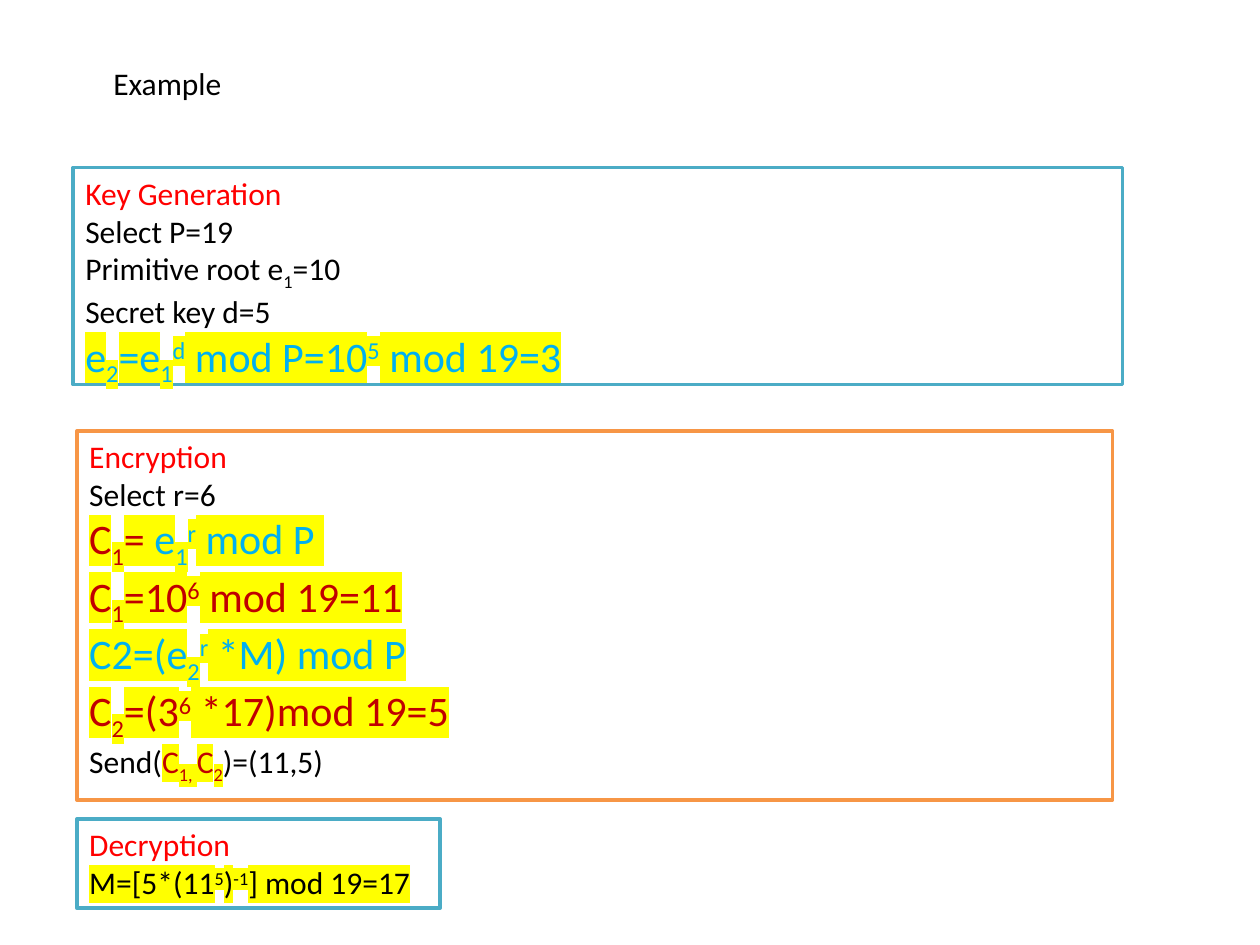
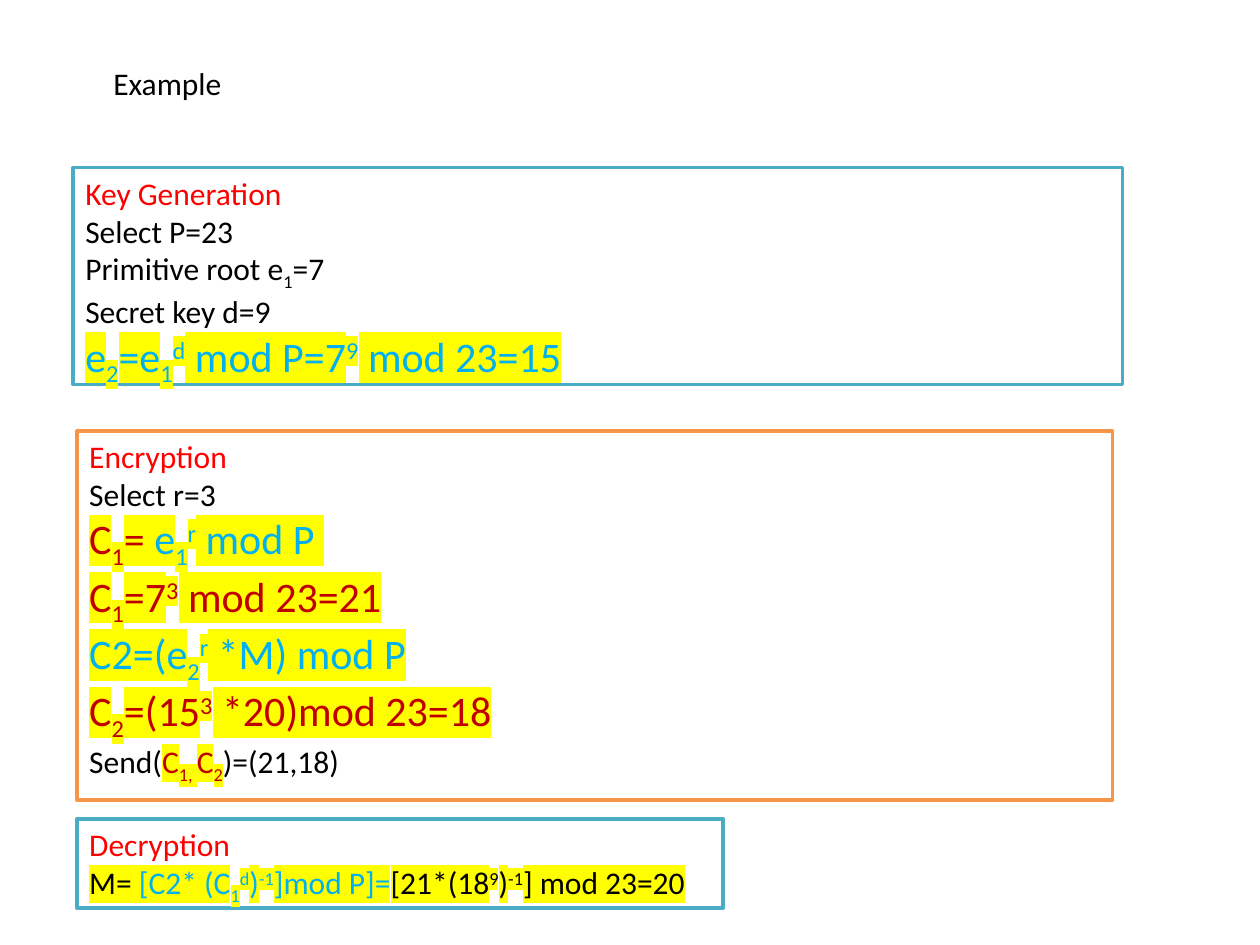
from pptx import Presentation
from pptx.dml.color import RGBColor
from pptx.enum.shapes import MSO_SHAPE as Preset
from pptx.enum.text import MSO_ANCHOR as Anchor, MSO_AUTO_SIZE as AutoSize, PP_ALIGN as Align
from pptx.util import Cm, Pt
from lxml.etree import SubElement
from pptx.oxml.ns import qn

COLORS = {
    "white": "FFFFFF", "black": "000000", "heading": "FF0000", "blue": "00B0F0",
    "dark red": "C00000", "marker": "FFFF00", "teal line": "4BACC6", "orange line": "F79646",
}
FONT = "Calibri"

# Text styles: size, colour, highlighted
STYLES = {
    "heading": (18, "heading", False),
    "plain": (18, "black", False),
    "formula": (24, "blue", True),
    "result": (24, "dark red", True),
    "marked": (18, "black", True),
    "marked blue": (18, "blue", True),
    "marked red": (18, "dark red", True),
}
BASELINES = {"_": "-25000", "^": "30000"}

# Boxes: left, top, width, height in cm, outline, wrapping
KEY_BOX = (1.47, 3.38, 21.16, 4.37, "teal line", True)
ENCRYPTION_BOX = (1.55, 8.69, 20.88, 7.44, "orange line", True)

EXAMPLES = [
    {"P": 19, "e1": 10, "d": 5, "e2": 3, "r": 6, "M": 17, "C1": 11, "C2": 5,
     "decryption width": 7.32,
     "decryption": [("marked", "M=[5*(11|^5|)|^-1|] mod 19=17")]},
    {"P": 23, "e1": 7, "d": 9, "e2": 15, "r": 3, "M": 20, "C1": 21, "C2": 18,
     "decryption width": 13.03,
     "decryption": [("marked", "M="), ("marked blue", " [C2* (C|_1|^d|)|^-1|]mod P]="),
                    ("marked", "[21*(18|^9|)|^-1|] mod 23=20")]},
]


def add_formula(paragraph, style, markup):
    """Add runs split at |; a leading _ lowers a run and ^ raises it."""
    size, color, highlighted = STYLES[style]
    for piece in markup.split("|"):
        run = paragraph.add_run()
        run.text = piece.lstrip("_^")
        run.font.size = Pt(size)
        run.font.color.rgb = RGBColor.from_string(COLORS[color])
        properties = run._r.get_or_add_rPr()
        if piece[0] in BASELINES:
            properties.set("baseline", BASELINES[piece[0]])
        if highlighted:
            highlight = SubElement(properties, qn("a:highlight"))
            SubElement(highlight, qn("a:srgbClr")).set("val", COLORS["marker"])
        run.font.name = FONT


def add_step_box(slide, box, heading, lines):
    """Add an outlined box with a heading and one paragraph per line."""
    left, top, width, height, outline, wrap = box
    shape = slide.shapes.add_shape(Preset.RECTANGLE, Cm(left), Cm(top), Cm(width), Cm(height))
    shape.shadow.inherit = False
    shape.fill.solid()
    shape.fill.fore_color.rgb = RGBColor.from_string(COLORS["white"])
    shape.line.color.rgb = RGBColor.from_string(COLORS[outline])
    shape.line.width = Pt(2)
    text_frame = shape.text_frame
    text_frame.word_wrap = wrap
    text_frame.auto_size = AutoSize.SHAPE_TO_FIT_TEXT
    text_frame.vertical_anchor = Anchor.TOP
    for index, line in enumerate([[("heading", heading)], *lines]):
        paragraph = text_frame.add_paragraph() if index else text_frame.paragraphs[0]
        paragraph.alignment = Align.LEFT
        for style, markup in line:
            add_formula(paragraph, style, markup)


presentation = Presentation()
presentation.slide_width = Cm(25.4)
presentation.slide_height = Cm(19.05)
title_only = presentation.slide_layouts[5]

for example in EXAMPLES:
    slide = presentation.slides.add_slide(title_only)
    P, e1, d, e2, r, M, C1, C2 = (example[key] for key in ("P", "e1", "d", "e2", "r", "M", "C1", "C2"))

    # Title
    title = slide.shapes.title
    title.left, title.top, title.width, title.height = Cm(2.03), Cm(1.17), Cm(2.72), Cm(1.02)
    title.text_frame.word_wrap = False
    title.text_frame.auto_size = AutoSize.SHAPE_TO_FIT_TEXT
    title.text_frame.vertical_anchor = Anchor.TOP
    title.text_frame.paragraphs[0].alignment = Align.LEFT
    add_formula(title.text_frame.paragraphs[0], "plain", "Example")

    # Key generation
    add_step_box(slide, KEY_BOX, "Key Generation", [
        [("plain", f"Select P={P}")],
        [("plain", f"Primitive root e|_1|={e1}")],
        [("plain", f"Secret key d={d}")],
        [("formula", f"e|_2|=e|_1|^d| mod P={e1}|^{d}| mod {P}={e2}")],
    ])

    # Encryption
    add_step_box(slide, ENCRYPTION_BOX, "Encryption", [
        [("plain", f"Select r={r}")],
        [("result", "C|_1|="), ("formula", " e|_1|^r| mod P ")],
        [("result", f"C|_1|={e1}|^{r}| mod {P}={C1}")],
        [("formula", "C2=(e|_2|^r| *M) mod P")],
        [("result", f"C|_2|=({e2}|^{r}| *{M})mod {P}={C2}")],
        [("plain", "Send("), ("marked red", "C|_1, |C|_2"), ("plain", f")=({C1},{C2})")],
    ])

    # Decryption
    decryption_box = (1.55, 16.51, example["decryption width"], 1.8, "teal line", False)
    add_step_box(slide, decryption_box, "Decryption", [example["decryption"]])

presentation.save("out.pptx")
